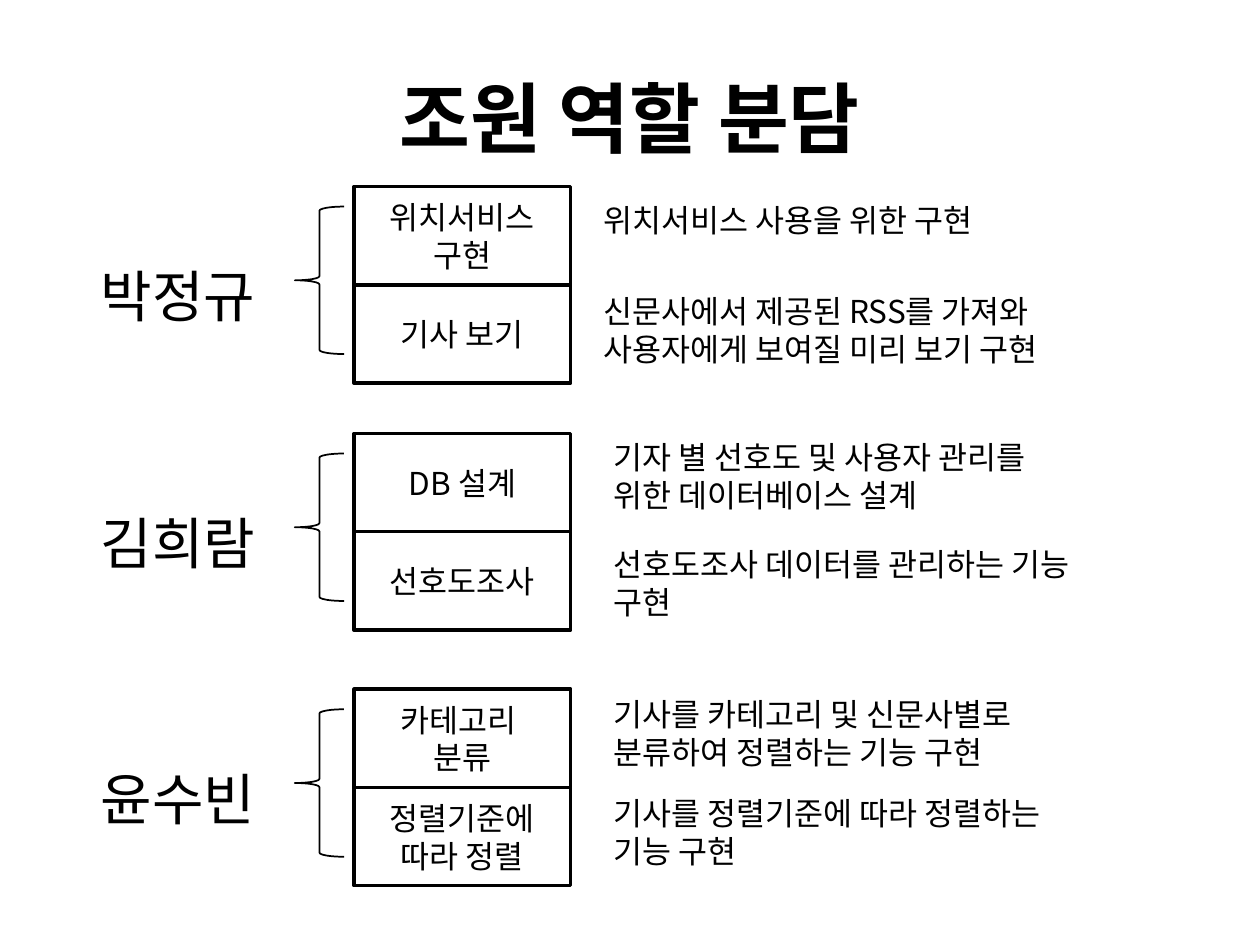
from lxml import etree
from pptx import Presentation
from pptx.dml.color import RGBColor
from pptx.enum.shapes import MSO_SHAPE
from pptx.enum.text import MSO_ANCHOR, PP_ALIGN
from pptx.oxml.ns import qn
from pptx.util import Inches, Pt

RECT, BRACE = MSO_SHAPE.RECTANGLE, MSO_SHAPE.LEFT_BRACE
TOP, MID = MSO_ANCHOR.TOP, MSO_ANCHOR.MIDDLE
LEFT, CENTER = PP_ALIGN.LEFT, PP_ALIGN.CENTER
BLACK = RGBColor(0, 0, 0)
WHITE = RGBColor(255, 255, 255)
FONT = "Noto Sans CJK KR"

# Content: member, top, note left, note width, tasks (label, note, note top, note height)
TITLE = "조원 역할 분담"
TEAM = [
    ("박정규", 1.48, 4.69, 4.06, [
        ("위치서비스 구현", "위치서비스 사용을 위한 구현", 1.55, 0.4),
        ("기사 보기", "신문사에서 제공된 RSS를 가져와 사용자에게 보여질 미리 보기 구현",
         2.27, 0.71)]),
    ("김희람", 3.44, 4.77, 3.83, [
        ("DB 설계", "기자 별 선호도 및 사용자 관리를 위한 데이터베이스 설계", 3.43, 0.71),
        ("선호도조사", "선호도조사 데이터를 관리하는 기능 구현", 4.28, 0.71)]),
    ("윤수빈", 5.47, 4.77, 3.98, [
        ("카테고리 \n분류", "기사를 카테고리 및 신문사별로 분류하여 정렬하는 기능 구현",
         5.47, 0.71),
        ("정렬기준에 따라 정렬", "기사를 정렬기준에 따라 정렬하는 기능 구현", 6.25, 0.71)]),
]

# Columns and rows, in inches
NAME_X, NAME_W, NAME_H = 0.7, 1.64, 0.64
BRACE_X, BRACE_W, BRACE_H = 2.34, 0.39, 1.17
BOX_X, BOX_W, BOX_H = 2.81, 1.72, 0.78

# Text formats
HEAD = {"size": Pt(44), "bold": True}
NAME = {"size": Pt(32)}
BODY = {"size": Pt(18)}


def write(shape, text, form, align=LEFT, anchor=TOP):
    frame = shape.text_frame
    frame.word_wrap = True
    frame.vertical_anchor = anchor
    frame.text = text
    for para in frame.paragraphs:
        para.alignment = align
        for run in para.runs:
            run.font.color.rgb = BLACK
            for key, value in {"name": FONT, **form}.items():
                setattr(run.font, key, value)
            # East Asian letters take their own font entry
            latin = run.font._element.find(qn("a:latin"))
            east = etree.Element(qn("a:ea"), typeface=FONT)
            latin.addnext(east)


def label(slide, area, text, form, **place):
    box = slide.shapes.add_textbox(*map(Inches, area))
    write(box, text, form, **place)


def outline(slide, kind, area, width):
    shape = slide.shapes.add_shape(kind, *map(Inches, area))
    shape.shadow.inherit = False
    shape.line.color.rgb = BLACK
    shape.line.width = Pt(width)
    return shape


def main():
    deck = Presentation()
    deck.slide_width, deck.slide_height = Inches(10), Inches(7.5)
    slide = deck.slides.add_slide(deck.slide_layouts[6])

    label(slide, (0.5, 0.3, 9, 1.25), TITLE, HEAD, align=CENTER, anchor=MID)

    for name, top, note_x, note_w, tasks in TEAM:
        # Member and brace
        label(slide, (NAME_X, top + 0.55, NAME_W, NAME_H), name, NAME)
        brace = outline(slide, BRACE, (BRACE_X, top + 0.16, BRACE_W, BRACE_H), 1)
        brace.fill.background()

        # Stacked task boxes with their notes
        for row, (task, note, note_y, note_h) in enumerate(tasks):
            box = outline(slide, RECT, (BOX_X, top + row * BOX_H, BOX_W, BOX_H), 2)
            box.fill.solid()
            box.fill.fore_color.rgb = WHITE
            write(box, task, BODY, CENTER, MID)
            label(slide, (note_x, note_y, note_w, note_h), note, BODY)

    deck.save("out.pptx")


if __name__ == "__main__":
    main()
